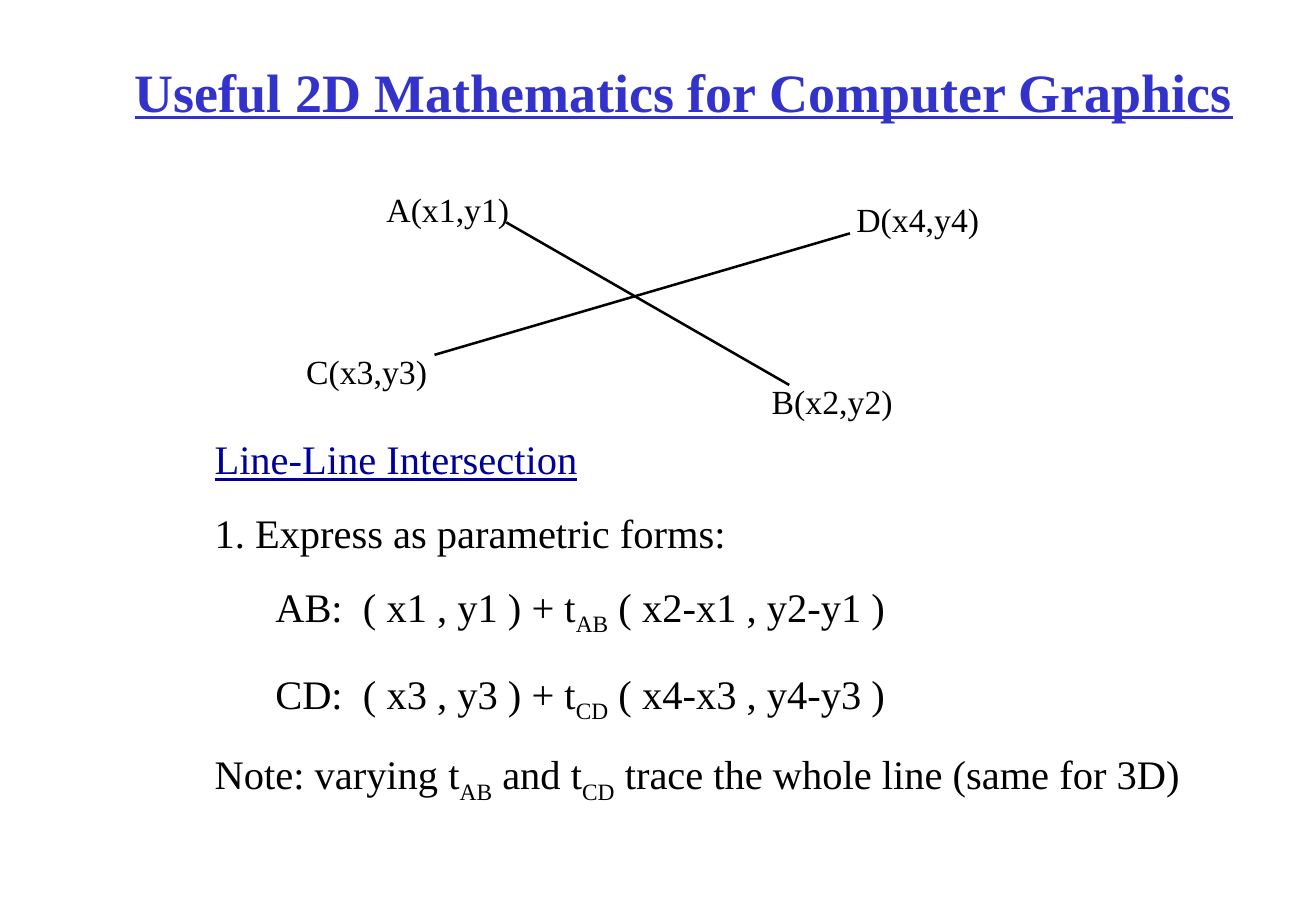
from dataclasses import dataclass

import pptx
import pptx.dml.color
import pptx.enum.shapes
import pptx.enum.text
import pptx.oxml.ns
import pptx.util
from lxml import etree

Cm = pptx.util.Cm
Pt = pptx.util.Pt
RGBColor = pptx.dml.color.RGBColor
PP_ALIGN = pptx.enum.text.PP_ALIGN

FONT = "Times New Roman"
TITLE_BLUE = RGBColor(0x33, 0x33, 0xCC)
HEADING_BLUE = RGBColor(0x00, 0x00, 0x99)
BLACK = RGBColor(0x00, 0x00, 0x00)
EQUATION_INDENT = Cm(1.27)


@dataclass
class PointLabel:
    text: str
    left: float
    top: float


@dataclass
class Segment:
    x1: float
    y1: float
    x2: float
    y2: float


@dataclass
class Line:
    """A line of text; parts between underscores are subscripts."""
    text: str
    before: float = 15
    color: RGBColor = BLACK
    underline: bool = False
    indented: bool = False


SEGMENTS = [
    Segment(9.09, 7.42, 17.78, 4.88),
    Segment(10.59, 4.65, 16.51, 8.05),
]

LABELS = [
    PointLabel("A(x1,y1)", 7.67, 3.83),
    PointLabel("B(x2,y2)", 15.71, 7.84),
    PointLabel("D(x4,y4)", 17.5, 4.03),
    PointLabel("C(x3,y3)", 5.97, 7.21),
]

BODY = [
    Line("Line-Line Intersection", before=0, color=HEADING_BLUE, underline=True),
    Line("1. Express as parametric forms:"),
    Line("AB:  ( x1 , y1 ) + t_AB_ ( x2-x1 , y2-y1 )", indented=True),
    Line("CD:  ( x3 , y3 ) + t_CD_ ( x4-x3 , y4-y3 )", before=18.6, indented=True),
    Line("Note: varying t_AB_ and t_CD_ trace the whole line (same for 3D)"),
]


def add_text_box(slide, left: float, top: float, width: float, height: float,
                 wrap: bool = True):
    tb = slide.shapes.add_textbox(Cm(left), Cm(top), Cm(width), Cm(height))
    tb.text_frame.word_wrap = wrap
    return tb.text_frame


def format_run(r, size: float, color: RGBColor, bold: bool = False,
               underline: bool = False) -> None:
    r.font.name = FONT
    r.font.size = Pt(size)
    r.font.color.rgb = color
    r.font.bold = bold
    r.font.underline = underline


def add_segment(slide, seg: Segment) -> None:
    cn = slide.shapes.add_connector(
        pptx.enum.shapes.MSO_CONNECTOR.STRAIGHT,
        Cm(seg.x1), Cm(seg.y1), Cm(seg.x2), Cm(seg.y2))
    cn.line.color.rgb = BLACK
    cn.line.width = Pt(1.5)
    etree.SubElement(cn._element.spPr, pptx.oxml.ns.qn("a:effectLst"))


def add_label(slide, label: PointLabel) -> None:
    tf = add_text_box(slide, label.left, label.top, 3.4, 1.12, wrap=False)
    tf.text = label.text
    p = tf.paragraphs[0]
    p.alignment = PP_ALIGN.CENTER
    format_run(p.runs[0], 20, BLACK)


def fill_line(p, line: Line) -> None:
    p.space_before = Pt(line.before)
    if line.indented:
        p._p.get_or_add_pPr().set("marL", str(EQUATION_INDENT))
    for i, part in enumerate(line.text.split("_")):
        r = p.add_run()
        r.text = part
        format_run(r, 24, line.color, underline=line.underline)
        if i % 2:
            r.font._element.set("baseline", "-25000")


def main() -> None:
    prs = pptx.Presentation()
    prs.slide_width, prs.slide_height = Cm(27.53), Cm(19.05)
    slide = prs.slides.add_slide(prs.slide_layouts[6])

    # Title
    tf = add_text_box(slide, 2.57, 1.09, 24.1, 1.63)
    tf.text = "Useful 2D Mathematics for Computer Graphics"
    format_run(tf.paragraphs[0].runs[0], 32, TITLE_BLUE, bold=True, underline=True)

    # Explanation
    tf = add_text_box(slide, 4.24, 8.96, 22.23, 8.03)
    for i, line in enumerate(BODY):
        fill_line(tf.add_paragraph() if i else tf.paragraphs[0], line)

    # Crossing lines with their end points
    for seg in SEGMENTS:
        add_segment(slide, seg)
    for label in LABELS:
        add_label(slide, label)

    prs.save("out.pptx")


if __name__ == "__main__":
    main()
